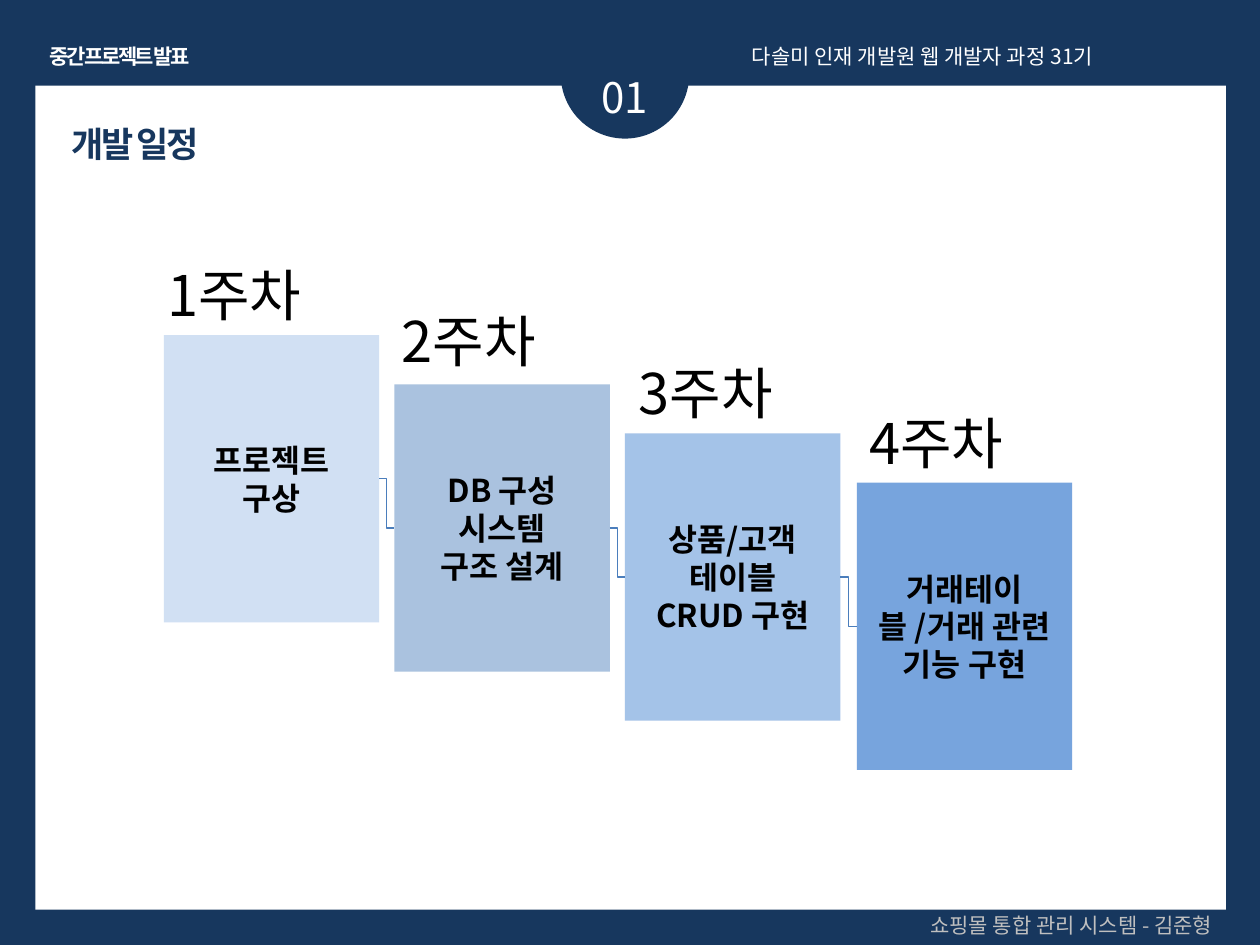
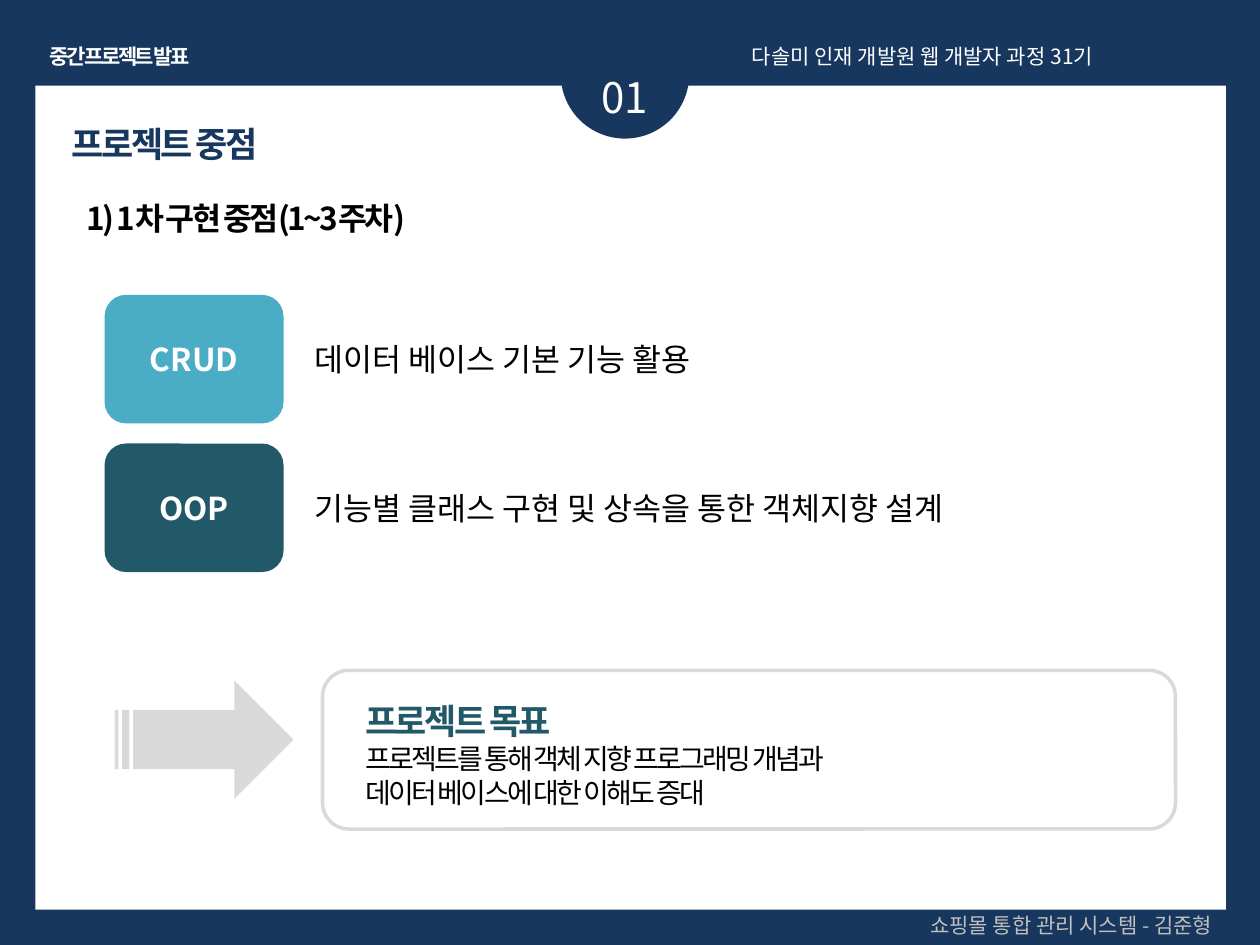
import dataclasses

import lxml.etree
import pptx
import pptx.dml.color
import pptx.enum.shapes
import pptx.enum.text
import pptx.oxml.ns
import pptx.util

PX = 9144  # EMU per px, 100 px to the inch
KIND = pptx.enum.shapes.MSO_SHAPE
ALIGN = pptx.enum.text.PP_ALIGN
ANCHOR = pptx.enum.text.MSO_ANCHOR
FIT = pptx.enum.text.MSO_AUTO_SIZE


@dataclasses.dataclass(frozen=True)
class Theme:
    navy: str = "17375E"
    white: str = "FFFFFF"
    black: str = "000000"
    gray: str = "D9D9D9"
    silver: str = "BFBFBF"
    teal: str = "215968"
    aqua: str = "4BACC6"
    wire: str = "4B7EBC"
    weeks: tuple = ("C6D9F1", "95B3D7", "8EB4E3", "558ED5")
    font: str = "Noto Sans CJK KR"
    head: str = "Arial"
    small: int = 12
    note: int = 16
    body: int = 18
    title: int = 20
    badge: int = 24
    week: int = 32
    tight: int = -150


def scale(*px):
    return [value * PX for value in px]


def color(code):
    return pptx.dml.color.RGBColor.from_string(code)


def add_tag(parent, tag, **attrs):
    return lxml.etree.SubElement(parent, pptx.oxml.ns.qn(tag), **attrs)


class Deck:
    def __init__(self, theme):
        self.theme = theme
        self.file = pptx.Presentation()
        self.file.slide_width, self.file.slide_height = scale(1000, 750)
        back = self.file.slide_master.background.fill
        back.solid()
        back.fore_color.rgb = color(theme.navy)

    def start(self, title, number):
        """Add a slide with its frame, badge, title and running texts."""
        t = self.theme
        self.slide = self.file.slides.add_slide(self.file.slide_layouts[5])
        self.shapes = self.slide.shapes
        self.shape(KIND.RECTANGLE, (28, 68, 945, 654), t.white)
        self.shape(KIND.OVAL, (445, 8, 102, 102), t.navy)
        self.text((437, 52, 118, 50), number, t.badge, t.white, align=ALIGN.CENTER)

        holder = self.shapes.title
        self.shapes.element.append(holder.element)  # in front of the panel
        self.place(holder, (47, 92, 189, 44))
        self.label(holder, title, t.title, t.navy, bold=True, tight=True, font=t.head)
        holder.text_frame.vertical_anchor = ANCHOR.TOP
        holder.text_frame.auto_size = FIT.NONE

        self.text((587, 30, 394, 30), "다솔미 인재 개발원 웹 개발자 과정 31기",
                  t.small, t.white, align=ALIGN.JUSTIFY)
        self.text((626, 719, 346, 30), "쇼핑몰 통합 관리 시스템 - 김준형",
                  t.small, t.silver, align=ALIGN.RIGHT)
        self.text((22, 30, 146, 30), "중간 프로젝트 발표", t.small, t.white,
                  bold=True, tight=True, align=ALIGN.CENTER, wrap=False)

    def place(self, shape, spot):
        shape.left, shape.top, shape.width, shape.height = scale(*spot)

    def style(self, para, size, ink, bold=False, tight=False, align=ALIGN.LEFT, font=None):
        para.alignment = align
        for run in para.runs:
            run.font.size = pptx.util.Pt(size)
            run.font.bold = bold
            run.font.color.rgb = color(ink)
            run.font.name = font or self.theme.font
            props = run.font._element
            add_tag(props, "a:ea", typeface=self.theme.font)
            if tight:
                props.set("spc", str(self.theme.tight))

    def label(self, shape, words, size, ink, **look):
        frame = shape.text_frame
        frame.text = words
        frame.word_wrap = True
        for para in frame.paragraphs:
            self.style(para, size, ink, **look)

    def text(self, spot, words, size, ink, wrap=True, **look):
        box = self.shapes.add_textbox(*scale(*spot))
        self.label(box, words, size, ink, **look)
        box.text_frame.word_wrap = wrap
        box.text_frame.auto_size = FIT.SHAPE_TO_FIT_TEXT
        return box

    def shape(self, kind, spot, fill=None, line=None, alpha=None):
        """Draw a preset shape; alpha is its opacity in percent."""
        item = self.shapes.add_shape(kind, *scale(*spot))
        item.shadow.inherit = False
        if fill:
            item.fill.solid()
            item.fill.fore_color.rgb = color(fill)
        else:
            item.fill.background()
        if alpha:
            paint = item.element.xpath("./p:spPr/a:solidFill/a:srgbClr")[0]
            add_tag(paint, "a:alpha", val=str(alpha * 1000))
        if line:
            item.line.color.rgb = color(line)
            item.line.width = pptx.util.Pt(2)
        else:
            item.line.fill.background()
        return item

    def card(self, kind, spot, words, fill, ink, alpha=None):
        """Draw a filled shape with bold text in its middle."""
        item = self.shape(kind, spot, fill, alpha=alpha)
        self.label(item, words, self.theme.body, ink, bold=True, align=ALIGN.CENTER)
        item.text_frame.vertical_anchor = ANCHOR.MIDDLE
        return item

    def link(self, left, right):
        """Join the right side of one card to the left side of the next."""
        wire = self.shapes.add_connector(pptx.enum.shapes.MSO_CONNECTOR.ELBOW, 0, 0, 0, 0)
        wire.begin_connect(left, 3)
        wire.end_connect(right, 1)
        wire.line.color.rgb = color(self.theme.wire)
        wire.line.width = pptx.util.Pt(0.75)
        add_tag(wire.element.spPr, "a:effectLst")


def plan(deck):
    t = deck.theme
    deck.start("개발 일정", "01")
    weeks = [
        ("프로젝트\n구상", (123, 202, 204, 64)),
        ("DB 구성\n시스템\n구조 설계", (309, 238, 183, 64)),
        ("상품/고객\n테이블\nCRUD 구현", (497, 280, 183, 64)),
        ("거래테이블 /거래 관련\n기능 구현", (680, 319, 183, 64)),
    ]
    cards = []
    for i, (words, spot) in enumerate(weeks):
        step = (130 + i * 550 // 3, 266 + i * 39, 171, 228)
        cards.append(deck.card(KIND.RECTANGLE, step, words, t.weeks[i], t.black, alpha=80))
        deck.text(spot, f"{i + 1}주차", t.week, t.black)
    for left, right in zip(cards, cards[1:]):
        deck.link(left, right)


def focus(deck):
    t = deck.theme
    deck.start("프로젝트 중점", "01")
    deck.text((59, 153, 740, 40), "1) 1차 구현 중점(1~3주차)", t.body, t.black,
              bold=True, tight=True)
    points = [
        ("CRUD", t.aqua, "데이터 베이스 기본 기능 활용"),
        ("OOP", t.teal, "기능별 클래스 구현 및 상속을 통한 객체지향 설계"),
    ]
    for i, (name, fill, words) in enumerate(points):
        top = 234 + i * 118
        deck.card(KIND.ROUNDED_RECTANGLE, (83, top, 142, 102), name, fill, t.white)
        deck.text((240, top + 31, 669, 40), words, t.body, t.black)

    deck.shape(KIND.STRIPED_RIGHT_ARROW, (91, 540, 142, 94), t.gray)
    deck.shape(KIND.ROUNDED_RECTANGLE, (256, 532, 677, 126), line=t.gray)
    goal = deck.text(
        (280, 517, 630, 131),
        "프로젝트 목표\n프로젝트를 통해 객체 지향 프로그래밍 개념과\n데이터 베이스에 대한 이해도 증대",
        t.note, t.black, tight=True)
    head = goal.text_frame.paragraphs[0]
    head.line_spacing = 2.0
    for run in head.runs:
        run.font.size = pptx.util.Pt(t.title)
        run.font.bold = True
        run.font.color.rgb = color(t.teal)


def main():
    deck = Deck(Theme())
    plan(deck)
    focus(deck)
    deck.file.save("out.pptx")


if __name__ == "__main__":
    main()
